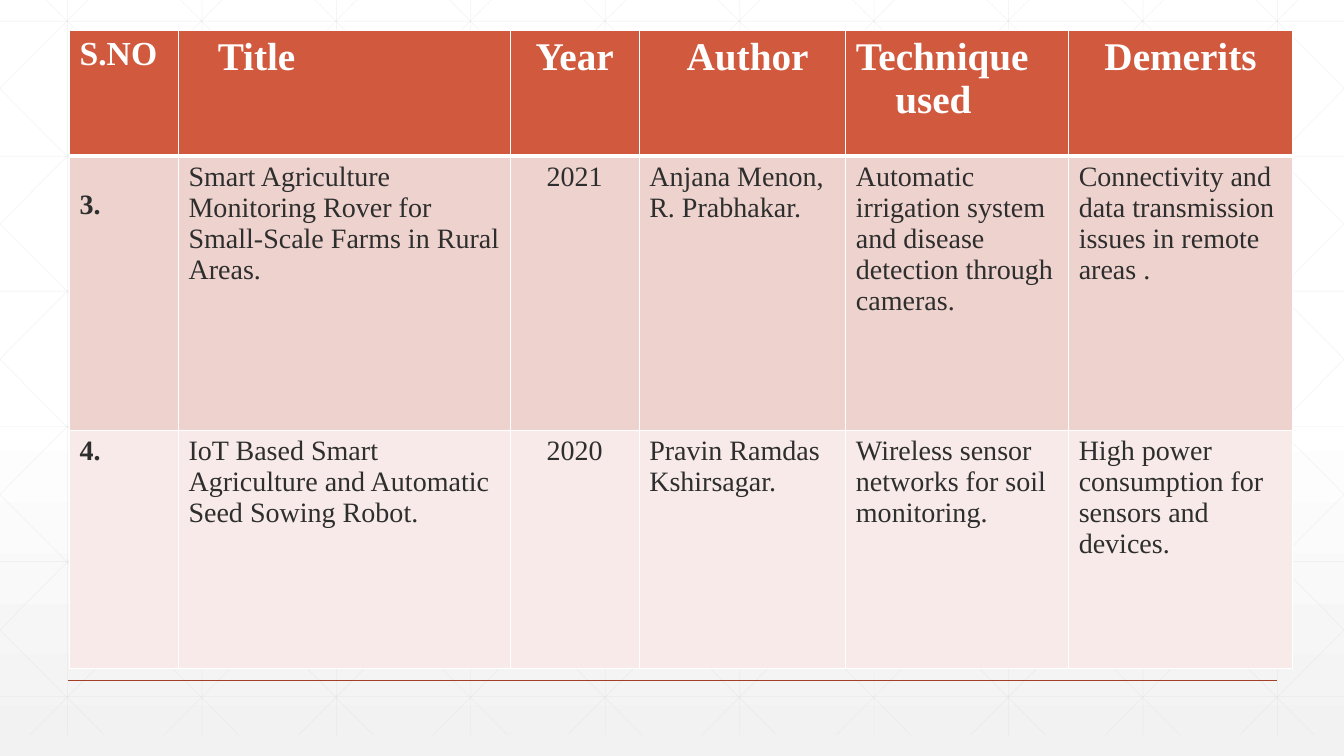
"""Builds a literature survey table slide over a faint lattice background."""
import lxml.etree
import pptx
import pptx.dml.color
import pptx.enum.shapes
import pptx.enum.text
import pptx.oxml.ns
import pptx.util

Inches = pptx.util.Inches
Pt = pptx.util.Pt
RGBColor = pptx.dml.color.RGBColor
qn = pptx.oxml.ns.qn
LEFT = pptx.enum.text.PP_ALIGN.LEFT
CENTER = pptx.enum.text.PP_ALIGN.CENTER

WHITE = RGBColor(0xFF, 0xFF, 0xFF)
MIST = RGBColor(0xF2, 0xF2, 0xF2)
LATTICE = RGBColor(0xD9, 0xD9, 0xD9)
RUST = RGBColor(0xA4, 0x3F, 0x27)
HEADER = RGBColor(0xD1, 0x5A, 0x3E)
INK = RGBColor(0x2D, 0x2E, 0x2D)
BANDS = [RGBColor(0xEE, 0xD2, 0xCE), RGBColor(0xF7, 0xEA, 0xE8)]

WIDTH, HEIGHT = 13.33, 7.5
TOP, BOTTOM = -0.21, 7.29
PITCH = 4 / 3
DIAGONAL_START, DIAGONAL_RUN = 0.25, 7.45

COLUMNS = [1.08, 3.29, 1.28, 2.05, 2.21, 2.22]
ROWS = [1.25, 2.72, 2.36]
HEADINGS = [
    ("S.NO", 24, LEFT, [0]),
    ("Title", 28, LEFT, [0.29]),
    ("Year", 28, CENTER, [0]),
    ("Author", 28, CENTER, [0.1]),
    ("Technique\nused", 28, LEFT, [0, 0.39]),
    ("Demerits", 28, CENTER, [0]),
]
PAPERS = [
    ["3.", "Smart Agriculture Monitoring Rover for Small-Scale Farms in Rural Areas.",
     "2021", "Anjana Menon, R. Prabhakar.",
     "Automatic irrigation system and disease detection through cameras.",
     "Connectivity and data transmission issues in remote areas ."],
    ["4.", "IoT Based Smart Agriculture and Automatic Seed Sowing Robot.",
     "2020", "Pravin Ramdas Kshirsagar.",
     "Wireless sensor networks for soil monitoring.",
     "High power consumption for sensors and devices."],
]


class SurveySlide:
    font = "Times New Roman"

    def __init__(self, slide):
        self.slide = slide

    def background(self):
        fill = self.slide.background.fill
        fill.gradient()
        fill.gradient_angle = 270
        for stop, position, color in zip(fill.gradient_stops, (0.53, 1), (WHITE, MIST)):
            stop.position = position
            stop.color.rgb = color

    def line(self, start, end, color, weight, opacity=100):
        rule = self.slide.shapes.add_connector(
            pptx.enum.shapes.MSO_CONNECTOR.STRAIGHT,
            *(Inches(value) for value in (*start, *end)))
        rule.line.color.rgb = color
        rule.line.width = Pt(weight)
        properties = rule.element.spPr
        if opacity < 100:
            tint = properties.find(".//" + qn("a:srgbClr"))
            lxml.etree.SubElement(tint, qn("a:alpha"), val=str(opacity * 1000))
        lxml.etree.SubElement(properties, qn("a:effectLst"))

    def lattice(self):
        strands = []
        for column in range(10):
            x = 0.67 + column * PITCH
            strands.append(((x, TOP), (x, BOTTOM)))
        for row in range(6):
            y = 0.21 + row * 1.34
            strands.append(((0, y), (WIDTH, y)))
        for step in range(-5, 10):
            origin = DIAGONAL_START + step * PITCH
            ends = max(0, origin), min(WIDTH, origin + DIAGONAL_RUN)
            falling = [(x, TOP + (x - origin) * HEIGHT / DIAGONAL_RUN) for x in ends]
            strands.append(falling)
            strands.append([(WIDTH - x, y) for x, y in falling])
        for start, end in strands:
            self.line(start, end, LATTICE, 0.5, 25)

    def table(self, left, top):
        frame = self.slide.shapes.add_table(
            len(ROWS), len(COLUMNS), Inches(left), Inches(top),
            Inches(sum(COLUMNS)), Inches(sum(ROWS)))
        survey = frame.table
        for column, width in zip(survey.columns, COLUMNS):
            column.width = Inches(width)
        for row, height in zip(survey.rows, ROWS):
            row.height = Inches(height)
        return survey

    def borders(self, cell, top, bottom):
        properties = cell._tc.get_or_add_tcPr()
        for side, weight in (("L", 1), ("R", 1), ("T", top), ("B", bottom)):
            edge = lxml.etree.SubElement(properties, qn("a:ln" + side), w=str(Pt(weight)))
            paint = lxml.etree.SubElement(edge, qn("a:solidFill"))
            lxml.etree.SubElement(paint, qn("a:srgbClr"), val=str(WHITE))

    def cell(self, cell, text, size, color, fill, bold, align, indents=(0,), edges=(1, 1)):
        self.borders(cell, *edges)
        cell.fill.solid()
        cell.fill.fore_color.rgb = fill
        cell.text_frame.text = text
        for paragraph, indent in zip(cell.text_frame.paragraphs, indents):
            paragraph.alignment = align
            paragraph._p.get_or_add_pPr().set("marL", str(Inches(indent)))
            for run in paragraph.runs:
                run.font.name = self.font
                run.font.size = Pt(size)
                run.font.bold = bold
                run.font.color.rgb = color


def main():
    deck = pptx.Presentation()
    deck.slide_width, deck.slide_height = Inches(WIDTH), Inches(HEIGHT)
    page = SurveySlide(deck.slides.add_slide(deck.slide_layouts[6]))
    page.background()
    page.lattice()
    page.line((0.67, 6.75), (12.67, 6.75), RUST, 1)
    survey = page.table(0.69, 0.3)
    for column, (heading, size, align, indents) in enumerate(HEADINGS):
        page.cell(survey.cell(0, column), heading, size, WHITE, HEADER, True,
                  align, indents, (1, 3))
    for row, (paper, band) in enumerate(zip(PAPERS, BANDS), 1):
        for column, text in enumerate(paper):
            page.cell(survey.cell(row, column), text, 20, INK, band, column == 0,
                      CENTER if column == 2 else LEFT, edges=(3 if row == 1 else 1, 1))
    survey.cell(1, 0).margin_top = Inches(0.33)
    deck.save("out.pptx")


if __name__ == "__main__":
    main()
